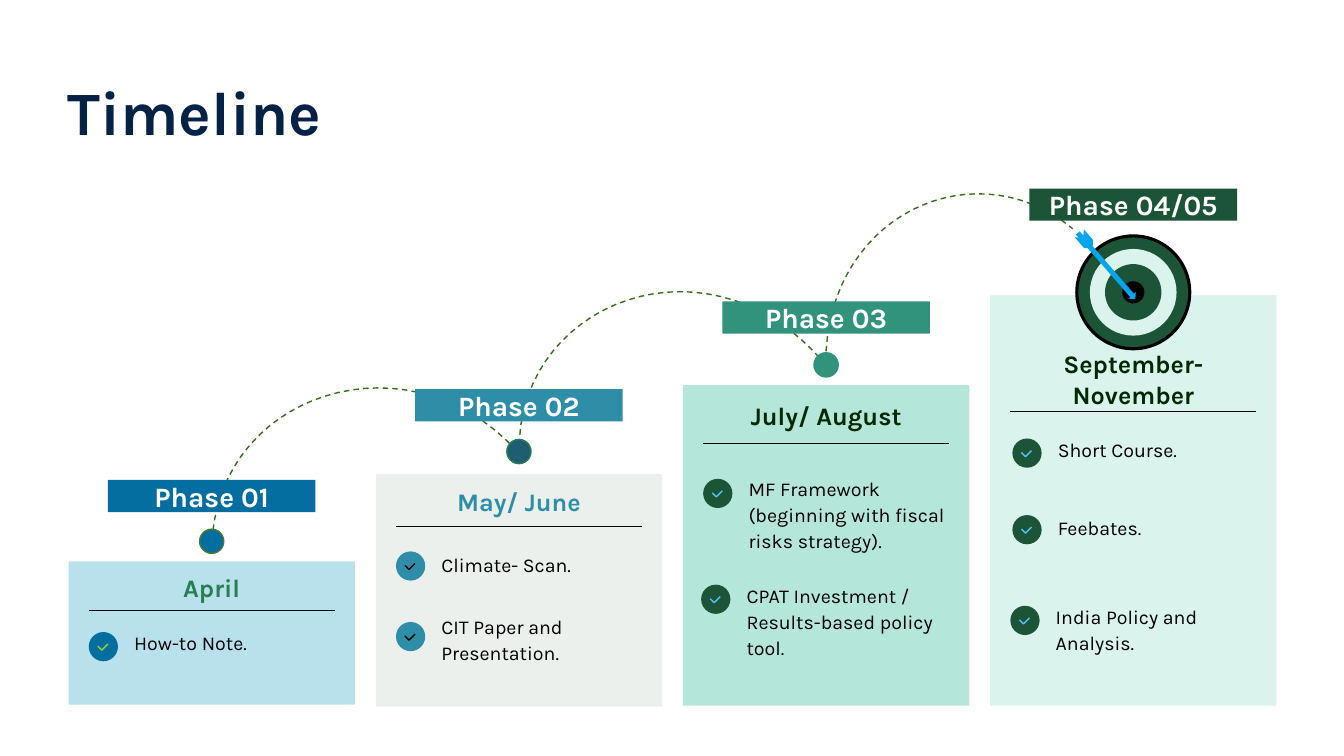
from pptx import Presentation
from pptx.dml.color import RGBColor
from pptx.enum.dml import MSO_LINE
from pptx.enum.shapes import MSO_CONNECTOR, MSO_SHAPE as SHAPE
from pptx.enum.text import MSO_ANCHOR as ANCHOR, MSO_AUTO_SIZE, PP_ALIGN as ALIGN
from pptx.oxml.ns import qn
from pptx.util import Inches, Pt

FONT = "Karla"
BLACK = RGBColor(0x00, 0x00, 0x00)
WHITE = RGBColor(0xFF, 0xFF, 0xFF)
NAVY = RGBColor(0x04, 0x22, 0x45)
BLUE = RGBColor(0x05, 0x6E, 0xA0)
TEAL = RGBColor(0x2E, 0x8E, 0xA8)
DEEP_TEAL = RGBColor(0x1E, 0x5E, 0x70)
SEA_GREEN = RGBColor(0x31, 0x93, 0x7B)
FOREST = RGBColor(0x1C, 0x54, 0x38)
GREEN = RGBColor(0x29, 0x7D, 0x53)
DARK_GREEN = RGBColor(0x01, 0x29, 0x03)
MOSS = RGBColor(0x4A, 0x7C, 0x29)
TRAIL_GREEN = RGBColor(0x35, 0x6D, 0x18)
LIME = RGBColor(0x99, 0xCB, 0x38)
SKY = RGBColor(0x51, 0xC3, 0xF9)
ARROW_BLUE = RGBColor(0x08, 0xA5, 0xEF)
PALE_BLUE = RGBColor(0xB8, 0xE1, 0xEC)
PALE_GREY = RGBColor(0xEB, 0xF0, 0xED)
MINT = RGBColor(0xB4, 0xE6, 0xDA)
PALE_MINT = RGBColor(0xDA, 0xF3, 0xED)

TITLE = "Timeline"
PHASES = [
    dict(name="Phase 01", badge=BLUE, badge_top=4.76,
         card=PALE_BLUE, card_top=5.57, card_height=1.42,
         month="April", month_color=GREEN, month_top=5.68, rule_top=6.06,
         dot=(5.25, BLUE, MOSS), bullet=BLUE, tick=LIME,
         tasks=[("How-to Note.", 0.2, 6.27, 6.24)]),
    dict(name="Phase 02", badge=TEAL, badge_top=3.86,
         card=PALE_GREY, card_top=4.7, card_height=2.31,
         month="May/ June", month_color=TEAL, month_top=4.82, rule_top=5.22,
         dot=(4.36, DEEP_TEAL, GREEN), bullet=TEAL, tick=BLACK,
         tasks=[("Climate- Scan.", 0.2, 5.47, 5.46),
                ("CIT Paper and Presentation.", 0.2, 6.17, 6.08)]),
    dict(name="Phase 03", badge=SEA_GREEN, badge_top=2.99,
         card=MINT, card_top=3.82, card_height=3.18,
         month="July/ August", month_color=DARK_GREEN, month_top=3.97, rule_top=4.4,
         dot=(3.5, SEA_GREEN, SEA_GREEN), bullet=FOREST, tick=SKY,
         tasks=[("MF Framework (beginning with fiscal risks strategy).", 0.2, 4.75, 4.71),
                ("CPAT Investment / Results-based policy tool.", 0.18, 5.8, 5.77)]),
    dict(name="Phase 04/05", badge=FOREST, badge_top=1.87,
         card=PALE_MINT, card_top=2.93, card_height=4.07,
         month="September- November", month_color=DARK_GREEN, month_top=3.61, rule_top=4.08,
         dot=None, bullet=FOREST, tick=SKY,
         tasks=[("Short Course.", 0.22, 4.35, 4.32),
                ("Feebates.", 0.22, 5.11, 5.09),
                ("India Policy and Analysis.", 0.2, 6.01, 5.98)]),
]
TRAIL = [
    [(2.1, 5.45), (2.12, 3.89), (4.07, 3.27), (5.15, 4.5)],
    [(5.15, 4.5), (5.11, 2.99), (7.05, 2.24), (8.19, 3.62)],
    [(8.19, 3.62), (8.18, 2.13), (9.67, 1.46), (10.64, 2.27)],
]
TRAIL_STEPS = 30
TICK = [(0.19, 0.12), (0.13, 0.18), (0.09, 0.14)]
TARGET_CENTER = (11.24, 2.9)
TARGET_RINGS = [(1.12, FOREST), (0.86, PALE_MINT), (0.56, FOREST), (0.22, BLACK)]
ARROW = [(SHAPE.CHEVRON, 10.67, 2.33, 0.2, 0.12),
         (SHAPE.RIGHT_ARROW, 10.54, 2.59, 0.87, 0.1)]
ARROW_ANGLE = 49
CARD_LEFT, CARD_WIDTH, CARD_STEP = 0.68, 2.84, 3.047


def add_shape(slide, kind, left, top, width, height, fill, line=None, weight=1):
    shape = slide.shapes.add_shape(
        kind, Inches(left), Inches(top), Inches(width), Inches(height))
    shape.shadow.inherit = False
    shape.fill.solid()
    shape.fill.fore_color.rgb = fill
    if line is None:
        shape.line.fill.background()
    else:
        shape.line.color.rgb = line
        shape.line.width = Pt(weight)
    return shape


def write(shape, text, size, color, bold=True, align=ALIGN.CENTER,
          anchor=ANCHOR.MIDDLE, spacing=None):
    frame = shape.text_frame
    frame.word_wrap = True
    frame.auto_size = MSO_AUTO_SIZE.NONE
    frame.vertical_anchor = anchor
    frame.margin_left = frame.margin_right = frame.margin_top = frame.margin_bottom = 0
    frame.text = text
    paragraph = frame.paragraphs[0]
    paragraph.alignment = align
    if spacing:
        paragraph.line_spacing = spacing
    paragraph.font.name = FONT
    paragraph.font.size = Pt(size)
    paragraph.font.bold = bold
    paragraph.font.color.rgb = color


def add_text(slide, left, top, width, height, *content, **style):
    box = slide.shapes.add_textbox(
        Inches(left), Inches(top), Inches(width), Inches(height))
    write(box, *content, **style)


def add_outline(slide, points, color):
    points = [(Inches(x), Inches(y)) for x, y in points]
    builder = slide.shapes.build_freeform(*points[0])
    builder.add_line_segments(points[1:], close=False)
    outline = builder.convert_to_shape()
    outline.shadow.inherit = False
    outline.fill.background()
    outline.line.color.rgb = color
    outline.line.width = Pt(1)
    return outline


def curve_point(curve, t):
    weights = ((1 - t) ** 3, 3 * t * (1 - t) ** 2, 3 * t ** 2 * (1 - t), t ** 3)
    return tuple(sum(w * point[axis] for w, point in zip(weights, curve)) for axis in (0, 1))


def add_trail(slide):
    points = [TRAIL[0][0]]
    for curve in TRAIL:
        points += [curve_point(curve, step / TRAIL_STEPS) for step in range(1, TRAIL_STEPS + 1)]
    add_outline(slide, points, TRAIL_GREEN).line.dash_style = MSO_LINE.DASH


def add_rule(slide, left, top, width):
    rule = slide.shapes.add_connector(
        MSO_CONNECTOR.STRAIGHT, Inches(left), Inches(top), Inches(left + width), Inches(top))
    rule.line.color.rgb = BLACK
    rule.line.width = Pt(0.5)
    properties = rule._element.spPr
    properties.append(properties.makeelement(qn("a:effectLst"), {}))


def add_task(slide, left, top, text_top, text, bullet, tick):
    add_text(slide, left + 0.45, text_top, 1.98, 0.79, text, 14, BLACK,
             bold=False, align=ALIGN.LEFT, anchor=ANCHOR.TOP, spacing=1.1)
    add_shape(slide, SHAPE.OVAL, left, top, 0.29, 0.29, bullet)
    add_outline(slide, [(left + x, top + y) for x, y in TICK], tick)


def add_phase(slide, left, phase):
    add_shape(slide, SHAPE.RECTANGLE, left, phase["card_top"], CARD_WIDTH,
              phase["card_height"], phase["card"])
    add_text(slide, left + 0.32, phase["month_top"], 2.2, 0.3,
             phase["month"], 18, phase["month_color"])
    add_rule(slide, left + 0.2, phase["rule_top"], 2.44)
    if phase["dot"]:
        top, fill, line = phase["dot"]
        add_shape(slide, SHAPE.OVAL, left + 1.3, top, 0.24, 0.24, fill, line)
    for text, indent, top, text_top in phase["tasks"]:
        add_task(slide, left + indent, top, text_top, text, phase["bullet"], phase["tick"])
    badge = add_shape(slide, SHAPE.RECTANGLE, left + 0.39, phase["badge_top"], 2.06, 0.32,
                      phase["badge"])
    write(badge, phase["name"], 20, WHITE)


def add_target(slide):
    x, y = TARGET_CENTER
    for index, (size, color) in enumerate(TARGET_RINGS):
        add_shape(slide, SHAPE.OVAL, x - size / 2, y - size / 2, size, size, color,
                  line=BLACK if index == 0 else None, weight=2.25)
    for kind, *box in ARROW:
        add_shape(slide, kind, *box, ARROW_BLUE).rotation = ARROW_ANGLE


def main():
    presentation = Presentation()
    presentation.slide_width, presentation.slide_height = Inches(13.33), Inches(7.5)
    slide = presentation.slides.add_slide(presentation.slide_layouts[5])
    title = slide.shapes.title
    title.left, title.top = Inches(0.67), Inches(0.44)
    title.width, title.height = Inches(5.68), Inches(1.42)
    write(title, TITLE, 44, NAVY, align=ALIGN.LEFT, spacing=0.9)
    add_trail(slide)
    for index, phase in enumerate(PHASES):
        add_phase(slide, CARD_LEFT + index * CARD_STEP, phase)
    add_target(slide)
    presentation.save("out.pptx")


if __name__ == "__main__":
    main()
